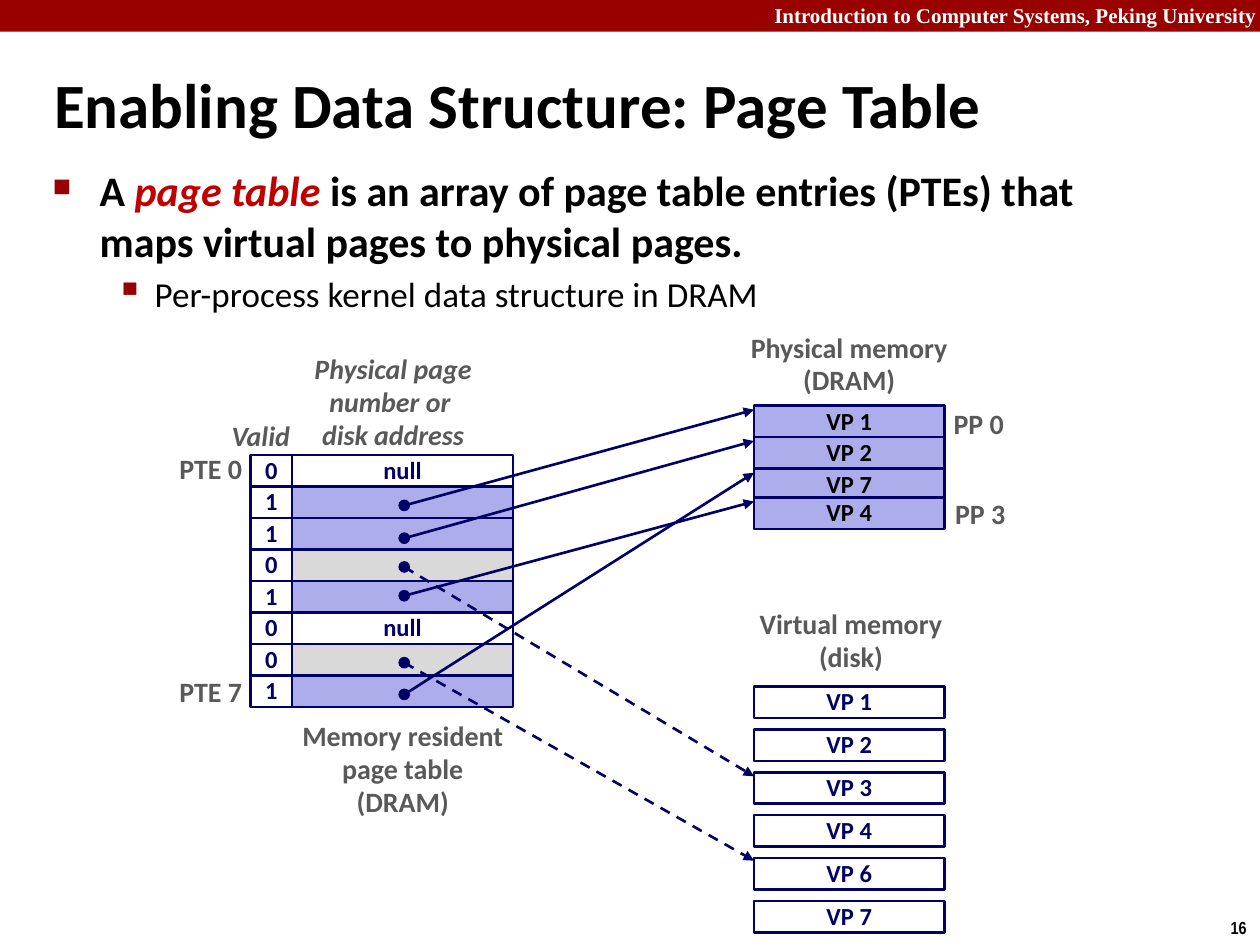
import pptx
import pptx.util
import pptx.dml.color
import pptx.enum.dml
import pptx.enum.shapes
import pptx.enum.text
import pptx.oxml
import pptx.oxml.ns

Cm = pptx.util.Cm
Pt = pptx.util.Pt
ALIGN = pptx.enum.text.PP_ALIGN
ANCHOR = pptx.enum.text.MSO_ANCHOR
SHAPE = pptx.enum.shapes.MSO_SHAPE

NAVY, LAVENDER, GREY, WHITE, BLACK = "000066", "ADADEB", "D9D9D9", "FFFFFF", "000000"
RED, ACCENT, LABEL = "990000", "C00000", "595959"

ROW_HEIGHT = 0.635
TABLE_TOP = 9.17
DOT_X, DOT_SIZE = 8.15, 0.2
MEMORY_LEFT, MEMORY_WIDTH = 15.2, 3.84

# Valid bit, cell fill, cell text
ENTRIES = [
    ("0", WHITE, "null"), ("1", LAVENDER, ""), ("1", LAVENDER, ""), ("0", GREY, ""),
    ("1", LAVENDER, ""), ("0", WHITE, "null"), ("0", GREY, ""), ("1", LAVENDER, ""),
]
# Height of the dot, height of the arrow's end, dashed
POINTERS = [
    (10.19, 8.26, False), (10.85, 8.89, False), (11.43, 15.65, True),
    (12.01, 10.11, False), (13.36, 17.35, True), (14.0, 9.53, False),
]
PHYSICAL_PAGES = [("VP 1", 8.18), ("VP 2", 8.81), ("VP 7", 9.45), ("VP 4", 10.03)]
DISK_PAGES = ["VP 1", "VP 2", "VP 3", "VP 4", "VP 6", "VP 7"]
# Text, left, top, width, height, alignment, italic
LABELS = [
    ("Memory resident\npage table\n(DRAM)", 5.77, 14.38, 4.7, 2.26, ALIGN.CENTER, False),
    ("Physical memory\n(DRAM)", 14.86, 6.55, 4.52, 1.6, ALIGN.CENTER, False),
    ("Virtual memory\n(disk)", 15.01, 12.12, 4.29, 1.6, ALIGN.CENTER, False),
    ("Physical page\nnumber or \ndisk address", 6.07, 6.99, 3.71, 2.26, ALIGN.CENTER, True),
    ("Valid", 4.42, 8.33, 1.91, 0.94, ALIGN.LEFT, True),
    ("PTE 0", 3.35, 8.99, 1.78, 0.94, ALIGN.RIGHT, False),
    ("PTE 7", 3.35, 13.49, 1.78, 0.94, ALIGN.RIGHT, False),
    ("PP 0", 18.97, 8.08, 1.52, 0.94, ALIGN.CENTER, False),
    ("PP 3", 19.0, 9.91, 1.52, 0.94, ALIGN.CENTER, False),
]


def color(value):
    """Turn a hex string into a colour."""
    return pptx.dml.color.RGBColor.from_string(value)


def style(span, size, tint, bold=True, italic=False, font="Calibri"):
    """Format one run."""
    span.font.name = font
    span.font.size = Pt(size)
    span.font.bold = bold
    span.font.italic = italic
    span.font.color.rgb = color(tint)


def write(box, text, size, tint, align=ALIGN.CENTER, italic=False, font="Calibri",
          spacing=0.98, wrap=False, anchor=ANCHOR.MIDDLE):
    """Fill a shape with text of a single format."""
    frame = box.text_frame
    frame.text = text
    frame.word_wrap = wrap
    frame.vertical_anchor = anchor
    for para in frame.paragraphs:
        para.alignment = align
        para.line_spacing = spacing
        for span in para.runs:
            style(span, size, tint, italic=italic, font=font)


def add_text(page, left, top, width, height, text, size, tint, **options):
    """Add a text box."""
    box = page.shapes.add_textbox(Cm(left), Cm(top), Cm(width), Cm(height))
    write(box, text, size, tint, **options)


def add_block(page, left, top, width, height, fill, kind=SHAPE.RECTANGLE,
              border=NAVY, weight=1.5):
    """Add a filled shape; no fill or border colour leaves that part out."""
    box = page.shapes.add_shape(kind, Cm(left), Cm(top), Cm(width), Cm(height))
    box.shadow.inherit = False
    if fill:
        box.fill.solid()
        box.fill.fore_color.rgb = color(fill)
    else:
        box.fill.background()
    if border:
        box.line.color.rgb = color(border)
        box.line.width = Pt(weight)
    else:
        box.line.fill.background()
    return box


def add_cell(page, left, top, width, fill, text, tint=NAVY):
    """Add one box of a table or memory, with its text if it has any."""
    box = add_block(page, left, top, width, ROW_HEIGHT, fill)
    if text:
        write(box, text, 14, tint)


def add_arrow(page, start, end, dashed):
    """Add a straight arrow."""
    arrow = page.shapes.add_connector(
        pptx.enum.shapes.MSO_CONNECTOR.STRAIGHT, *[Cm(value) for value in start + end])
    arrow.line.color.rgb = color(NAVY)
    arrow.line.width = Pt(1.5)
    if dashed:
        arrow.line.dash_style = pptx.enum.dml.MSO_LINE.DASH
    add_child(arrow.line._get_or_add_ln(), "tailEnd", type="triangle")
    add_child(arrow._element.spPr, "effectLst")


def add_child(parent, tag, **attributes):
    """Append a drawing element and return it."""
    child = parent.makeelement(pptx.oxml.ns.qn("a:" + tag), attributes)
    parent.append(child)
    return child


def add_bullet(para, mark, percent, margin, indent, space):
    """Give a paragraph a red bullet and a hanging indent."""
    para.space_before = Pt(space)
    properties = para._p.get_or_add_pPr()
    properties.set("marL", str(Cm(margin)))
    properties.set("indent", str(-Cm(indent)))
    add_child(add_child(properties, "buClr"), "srgbClr", val=RED)
    add_child(properties, "buSzPct", val=str(percent * 1000))
    add_child(properties, "buChar", char=mark)


def add_frame(page):
    """Add the header band, the title and the page number."""
    add_block(page, 0, 0, 25.4, 0.64, RED, border=None)
    add_text(page, 15.24, -0.08, 10.34, 0.76,
             "Introduction to Computer Systems, Peking University", 12, WHITE,
             align=ALIGN.RIGHT, font="Times New Roman", spacing=1, wrap=True)
    add_text(page, 24.54, 18.36, 0.86, 0.69, "16", 10, BLACK, font="Arial Narrow", spacing=1)
    title = page.shapes.title
    title.left, title.top, title.width, title.height = Cm(0.84), Cm(0.99), Cm(23.01), Cm(2.18)
    write(title, "Enabling Data Structure: Page Table", 36, BLACK,
          align=ALIGN.LEFT, spacing=1, wrap=True)


def add_body(page):
    """Add the two bullet points."""
    box = page.shapes.add_textbox(Cm(0.81), Cm(3.2), Cm(23.09), Cm(3.58))
    frame = box.text_frame
    frame.word_wrap = True
    point = frame.paragraphs[0]
    for text, tint in [("A ", BLACK), ("page table ", ACCENT),
                       ("is an array of page table entries (PTEs) that maps virtual "
                        "pages to physical pages. ", BLACK)]:
        span = point.add_run()
        span.text = text
        style(span, 24, tint, italic=tint == ACCENT)
    add_bullet(point, "\u25a0", 60, 0.95, 0.95, 4.8)
    detail = frame.add_paragraph()
    detail.text = "Per-process kernel data structure in DRAM"
    detail.level = 1
    style(detail.runs[0], 20, BLACK, bold=False)
    add_bullet(detail, "\u25aa", 110, 2.06, 0.79, 4)


def add_diagram(page):
    """Add the page table, both memories, the labels and the pointers."""
    for row, (valid, fill, text) in enumerate(ENTRIES):
        top = TABLE_TOP + row * ROW_HEIGHT
        add_cell(page, 5.89, top, 4.45, fill, text)
        add_cell(page, 5.05, top, 0.84, None, valid)
    for text, top in PHYSICAL_PAGES:
        add_cell(page, MEMORY_LEFT, top, MEMORY_WIDTH, LAVENDER, text, BLACK)
    for row, text in enumerate(DISK_PAGES):
        add_cell(page, MEMORY_LEFT, 13.84 + row * 0.864, MEMORY_WIDTH, WHITE, text)
    for text, left, top, width, height, align, italic in LABELS:
        add_text(page, left, top, width, height, text, 16, LABEL, align=align, italic=italic)
    for start, end, dashed in POINTERS:
        add_block(page, DOT_X - DOT_SIZE / 2, start - DOT_SIZE / 2, DOT_SIZE, DOT_SIZE,
                  NAVY, kind=SHAPE.OVAL, weight=1)
        add_arrow(page, (DOT_X, start), (MEMORY_LEFT, end), dashed)


def main():
    """Build the slide and save it."""
    deck = pptx.Presentation()
    deck.slide_width, deck.slide_height = Cm(25.4), Cm(19.05)
    page = deck.slides.add_slide(deck.slide_layouts[5])
    add_frame(page)
    add_body(page)
    add_diagram(page)
    deck.save("out.pptx")


main()
